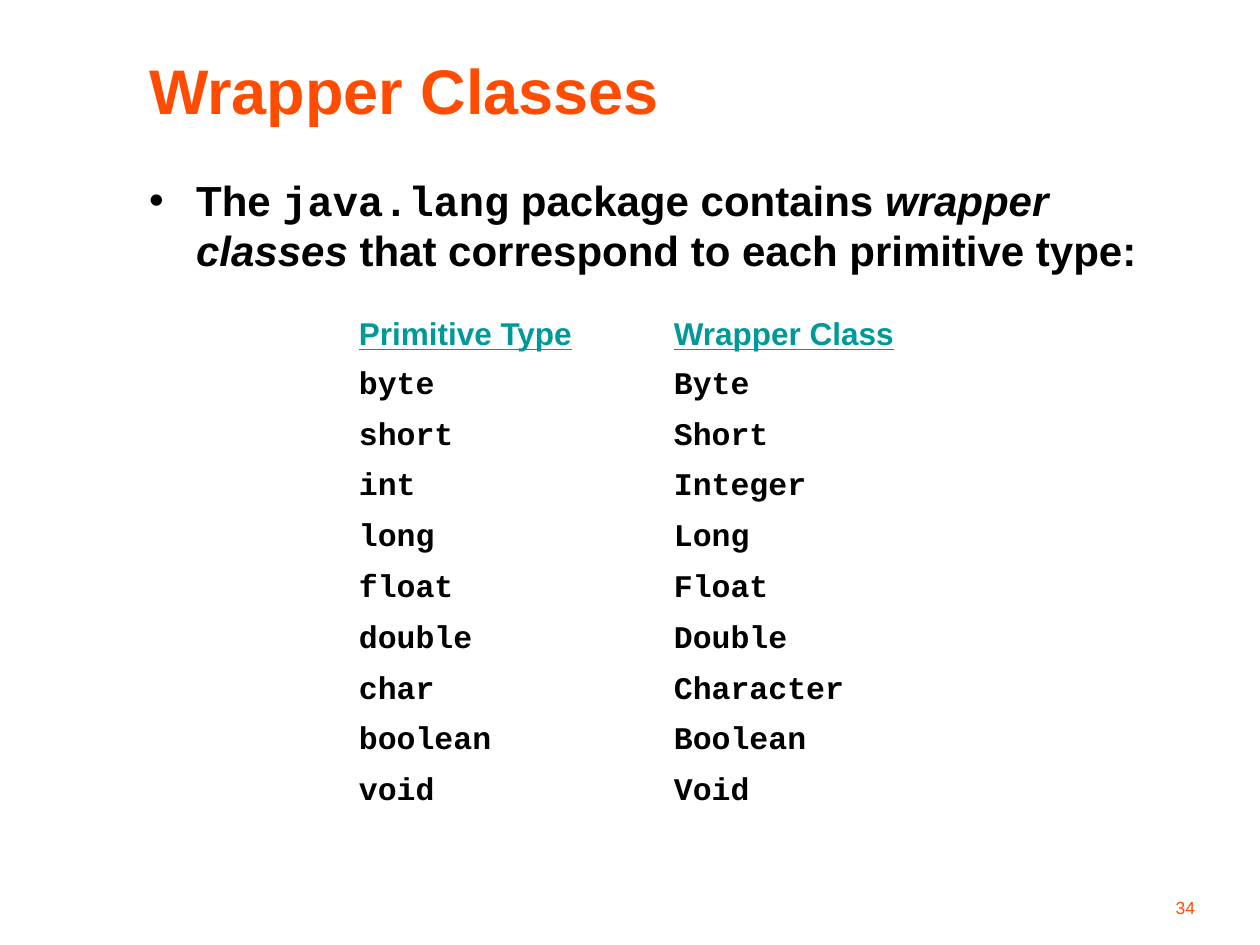
from lxml import etree
from pptx import Presentation
from pptx.dml.color import RGBColor
from pptx.enum.text import MSO_ANCHOR, MSO_AUTO_SIZE, PP_ALIGN
from pptx.oxml.ns import qn
from pptx.util import Cm, Pt

LEFT, RIGHT = PP_ALIGN.LEFT, PP_ALIGN.RIGHT
TOP, MIDDLE, BOTTOM = MSO_ANCHOR.TOP, MSO_ANCHOR.MIDDLE, MSO_ANCHOR.BOTTOM
FIXED = MSO_AUTO_SIZE.NONE
SANS, MONO = "Arial", "Courier New"
COLORS = {"accent": "FF4C00", "head": "009999", "text": "000000"}
TYPES = [
    ("byte", "Byte"),
    ("short", "Short"),
    ("int", "Integer"),
    ("long", "Long"),
    ("float", "Float"),
    ("double", "Double"),
    ("char", "Character"),
    ("boolean", "Boolean"),
    ("void", "Void"),
]


def write(para, text, size=18, font=SANS, color="text", bold=True,
          italic=False, line=False, align=LEFT):
    """Add one formatted run to a paragraph."""
    para.alignment = align
    para.space_before = Pt(0)
    run = para.add_run()
    run.text = text
    face = run.font
    face.name, face.size = font, Pt(size)
    face.bold, face.italic, face.underline = bold, italic, line
    face.color.rgb = RGBColor.from_string(COLORS[color])


def place(shape, box, anchor):
    """Move a text shape to its box and return its first paragraph."""
    shape.left, shape.top, shape.width, shape.height = map(Cm, box)
    frame = shape.text_frame
    frame.word_wrap, frame.auto_size = True, FIXED
    frame.vertical_anchor = anchor
    return frame.paragraphs[0]


def add_title(slide, box):
    para = place(slide.shapes.title, box, MIDDLE)
    write(para, "Wrapper Classes", size=36, color="accent")


def add_intro(slide, box):
    para = place(slide.placeholders[1], box, TOP)
    props = para._p.get_or_add_pPr()
    props.set("marL", str(Cm(0.95)))
    props.set("indent", str(Cm(-0.95)))
    tint = etree.SubElement(props, qn("a:buClr"))
    etree.SubElement(tint, qn("a:srgbClr"), val=COLORS["text"])
    etree.SubElement(props, qn("a:buFont"), typeface=SANS)
    etree.SubElement(props, qn("a:buChar"), char="•")
    write(para, "The ", size=24)
    write(para, "java.lang", size=24, font=MONO)
    write(para, " package contains ", size=24)
    write(para, "wrapper classes", size=24, italic=True)
    write(para, " that correspond to each primitive type:", size=24)


def add_types(slide, box):
    rows = [("Primitive Type", "Wrapper Class")] + TYPES
    table = slide.shapes.add_table(len(rows), 2, *map(Cm, box)).table
    table.first_row = table.horz_banding = False
    first = 6.35
    table.columns[0].width = Cm(first)
    table.columns[1].width = Cm(box[2] - first)
    for r, names in enumerate(rows):
        table.rows[r].height = Cm(box[3] / len(rows))
        look = {"font": MONO} if r else {"color": "head", "line": True}
        for c, name in enumerate(names):
            cell = table.cell(r, c)
            cell.fill.background()
            write(cell.text_frame.paragraphs[0], name, **look)


def add_number(slide, box):
    para = place(slide.shapes.add_textbox(*map(Cm, box)), box, BOTTOM)
    write(para, "34", size=10, color="accent", bold=False, align=RIGHT)


def main():
    deck = Presentation()
    deck.slide_width, deck.slide_height = Cm(25.4), Cm(19.05)
    slide = deck.slides.add_slide(deck.slide_layouts[1])
    add_title(slide, (2.75, 0.85, 22.01, 1.9))
    add_intro(slide, (2.75, 3.39, 21.61, 2.78))
    add_types(slide, (6.98, 6.27, 12.5, 10.24))
    add_number(slide, (19.05, 17.57, 5.29, 1.06))
    deck.save("out.pptx")


if __name__ == "__main__":
    main()
